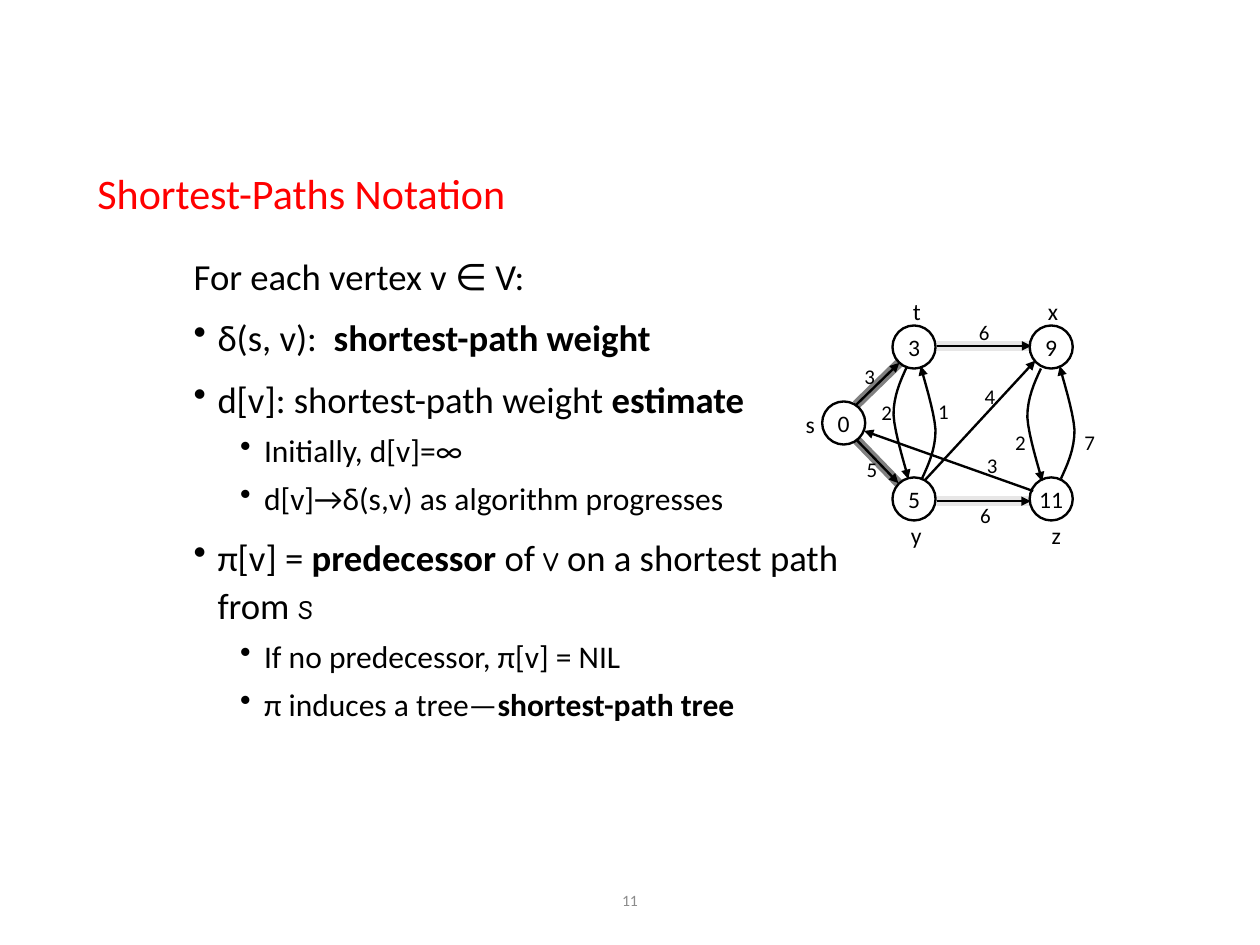
from dataclasses import dataclass
from typing import NamedTuple

from lxml.etree import SubElement
from pptx import Presentation
from pptx.dml.color import RGBColor
from pptx.enum.shapes import MSO_CONNECTOR, MSO_SHAPE
from pptx.enum.text import MSO_ANCHOR, PP_ALIGN
from pptx.oxml.ns import qn
from pptx.util import Emu, Inches, Pt

# Grid: 100 columns by 75 rows of square cells
COLS, ROWS = 100, 75
CELL = Inches(100 / 9) // COLS
FONT, HAND = "Calibri", "Comic Neue"
BLACK, RED, GRAY, DARK, LIGHT = "000000", "FF0000", "8C8C8C", "808080", "E7E6E6"
DIAM = 3.42


class Spot(NamedTuple):
    x: float
    y: float


class Run(NamedTuple):
    text: str
    bold: bool = False
    face: str = FONT


@dataclass
class Item:
    runs: list[Run]
    level: int = 0
    mark: bool = True


@dataclass
class Node:
    name: str
    value: str
    at: Spot
    tag: Spot


@dataclass
class Edge:
    start: Spot
    end: Spot
    shade: str = ""


@dataclass
class Weight:
    text: str
    at: Spot


ITEMS = [
    Item([Run("For each vertex v ∈ V:")], mark=False),
    Item([Run("δ(s, v):  "), Run("shortest-path weight", True)]),
    Item([Run("d[v]: shortest-path weight "), Run("estimate", True)]),
    Item([Run("Initially, d[v]=∞")], 1),
    Item([Run("d[v]→δ(s,v) as algorithm progresses")], 1),
    Item([Run("π[v] = "), Run("predecessor", True), Run(" of "), Run("v", face=HAND),
          Run(" on a shortest path from "), Run("s", face=HAND)]),
    Item([Run("If no predecessor, π[v] = NIL")], 1),
    Item([Run("π induces a tree—"), Run("shortest-path tree", True)], 1),
]
LEFT, RIGHT, TOP, BASE = 72.54, 83.43, 27.54, 39.6
NODES = [
    Node("s", "0", Spot(66.96, 33.57), Spot(64.31, 33.62)),
    Node("t", "3", Spot(LEFT, TOP), Spot(72.77, 24.71)),
    Node("x", "9", Spot(RIGHT, TOP), Spot(83.57, 24.71)),
    Node("y", "5", Spot(LEFT, BASE), Spot(72.72, 42.44)),
    Node("z", "11", Spot(RIGHT, BASE), Spot(83.84, 42.44)),
]
EDGES = [
    Edge(Spot(67.95, 32.13), Spot(71.37, 28.8), DARK),
    Edge(Spot(67.95, 34.88), Spot(71.3, 38.34), DARK),
    Edge(Spot(74.34, 27.45), Spot(81.85, 27.45), LIGHT),
    Edge(Spot(74.34, 39.78), Spot(81.8, 39.78), LIGHT),
    Edge(Spot(73.44, 38.07), Spot(82.17, 28.62)),
    Edge(Spot(82, 38.97), Spot(68.58, 34.2)),
]
WEIGHTS = [
    Weight("3", Spot(69.03, 29.84)), Weight("6", Spot(78.12, 26.33)),
    Weight("5", Spot(69.21, 37.22)), Weight("7", Spot(86.49, 35.06)),
    Weight("6", Spot(78.21, 40.91)), Weight("2", Spot(81, 35.06)),
    Weight("2", Spot(70.38, 32.72)), Weight("1", Spot(74.88, 32.63)),
    Weight("4", Spot(78.57, 31.46)), Weight("3", Spot(78.75, 36.95)),
]
# Bow: two Bezier arcs from its start; sign -1 turns it half round
ARCS = [
    [(0, 0), (-0.54, 1.17), (-1.08, 2.34), (-1.08, 3.87)],
    [(-1.08, 3.87), (-0.99, 5.4), (-0.09, 8.1), (0.09, 8.95)],
]
BOWS = [(Spot(72, 29.07), 1), (Spot(82.62, 29.25), 1),
        (Spot(84.2, 38), -1), (Spot(73.17, 38), -1)]
STEPS = 8


def cells(count: float) -> Emu:
    return Emu(round(count * CELL))


def color(code: str) -> RGBColor:
    return RGBColor.from_string(code)


def style(para, size: float, code: str = BLACK, face: str | None = FONT) -> None:
    para.font.size = Pt(size)
    para.font.color.rgb = color(code)
    if face:
        para.font.name = face


def add_box(slide, x: float, y: float, wide: float, high: float, wrap: bool = True):
    frame = slide.shapes.add_textbox(*map(cells, (x, y, wide, high))).text_frame
    frame.word_wrap = wrap
    return frame


def add_label(slide, text: str, at: Spot, size: float) -> None:
    wide, high = 2.7, 3
    frame = add_box(slide, at.x - wide / 2, at.y - high / 2, wide, high, False)
    frame.vertical_anchor = MSO_ANCHOR.MIDDLE
    para = frame.paragraphs[0]
    para.text, para.alignment = text, PP_ALIGN.CENTER
    style(para, size)


def add_item(para, item: Item, first: bool) -> None:
    props = para._p.get_or_add_pPr()
    props.set("marL", str(Inches(0.62 if item.level else 0.21)))
    props.set("indent", str(-Inches(0.21)))
    para.level = item.level
    para.line_spacing = 1.1
    if not first:
        para.space_before = Pt(4.2 if item.level else 8.3)
    if item.mark:
        SubElement(props, qn("a:buChar")).set("char", "•")
    mixed = len({run.face for run in item.runs}) > 1
    style(para, 20 if item.level else 23.3, face=None if mixed else FONT)
    for part in item.runs:
        run = para.add_run()
        run.text = part.text
        if part.bold:
            run.font.bold = True
        if mixed:
            run.font.name = part.face


def draw_line(shape, code: str, width: float, arrow: bool = False) -> None:
    shape.line.color.rgb = color(code)
    shape.line.width = Pt(width)
    if arrow:
        SubElement(shape.line._get_or_add_ln(), qn("a:tailEnd")).set("type", "triangle")


def add_edge(slide, edge: Edge, code: str, width: float, arrow: bool) -> None:
    ends = map(cells, (*edge.start, *edge.end))
    link = slide.shapes.add_connector(MSO_CONNECTOR.STRAIGHT, *ends)
    draw_line(link, code, width, arrow)
    SubElement(link._element.spPr, qn("a:effectLst"))


def add_node(slide, node: Node) -> None:
    corner = (node.at.x - DIAM / 2, node.at.y - DIAM / 2, DIAM, DIAM)
    disk = slide.shapes.add_shape(MSO_SHAPE.OVAL, *map(cells, corner))
    disk.shadow.inherit = False
    disk.fill.background()
    draw_line(disk, BLACK, 1.5)
    frame = disk.text_frame
    frame.word_wrap = False
    frame.vertical_anchor = MSO_ANCHOR.MIDDLE
    para = frame.paragraphs[0]
    para.text, para.alignment = node.value, PP_ALIGN.CENTER
    style(para, 15)
    add_label(slide, node.name, node.tag, 15)


def add_bow(slide, start: Spot, sign: int) -> None:
    dots = []
    for arc in ARCS:
        for step in range(1, STEPS + 1):
            t = step / STEPS
            mix = ((1 - t) ** 3, 3 * t * (1 - t) ** 2, 3 * t * t * (1 - t), t ** 3)
            dots.append(tuple(cells(base + sign * sum(m * p[axis] for m, p in zip(mix, arc)))
                              for axis, base in enumerate(start)))
    pen = slide.shapes.build_freeform(cells(start.x), cells(start.y))
    bow = pen.add_line_segments(dots, close=False).convert_to_shape()
    bow.shadow.inherit = False
    bow.fill.background()
    draw_line(bow, BLACK, 1.5, True)


def main() -> None:
    deck = Presentation()
    deck.slide_width, deck.slide_height = cells(COLS), cells(ROWS)
    slide = deck.slides.add_slide(deck.slide_layouts[6])

    # Title and page number
    title = add_box(slide, 6.84, 12.33, 86.22, 6.48)
    page = add_box(slide, 33.12, 69.48, 33.75, 3.96)
    title.vertical_anchor = page.vertical_anchor = MSO_ANCHOR.MIDDLE
    head, foot = title.paragraphs[0], page.paragraphs[0]
    head.text, head.line_spacing = "Shortest-Paths Notation", 0.9
    foot.text, foot.alignment = "11", PP_ALIGN.CENTER
    style(head, 26.7, RED)
    style(foot, 10, GRAY)

    # Notation list
    body = add_box(slide, 14.49, 19.35, 55.98, 41.67)
    for rank, item in enumerate(ITEMS):
        add_item(body.add_paragraph() if rank else body.paragraphs[0], item, not rank)

    # Graph: shades first, then nodes, edges and weights
    for edge in EDGES:
        if edge.shade:
            add_edge(slide, edge, edge.shade, 6, False)
    for node in NODES:
        add_node(slide, node)
    for edge in EDGES:
        add_edge(slide, edge, BLACK, 1.5, True)
    for start, sign in BOWS:
        add_bow(slide, start, sign)
    for weight in WEIGHTS:
        add_label(slide, weight.text, weight.at, 13.3)

    deck.save("out.pptx")


if __name__ == "__main__":
    main()
